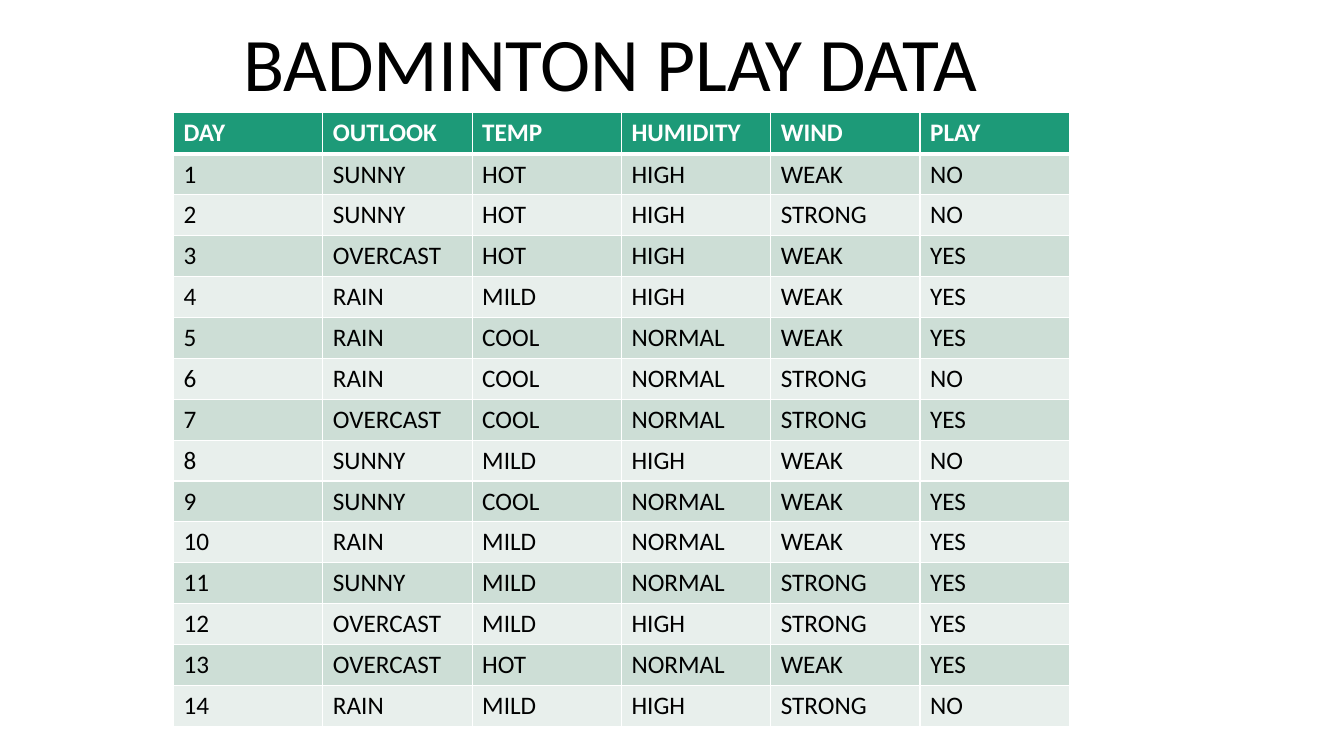
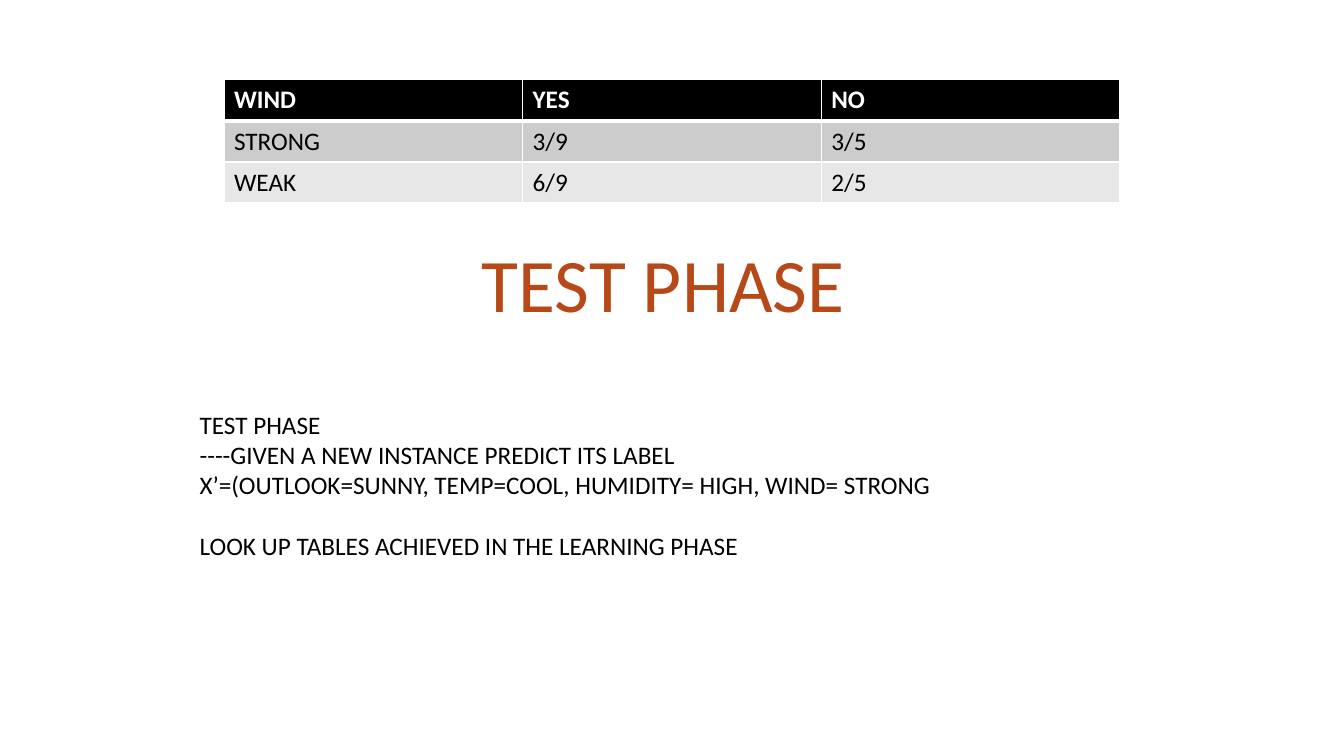
from dataclasses import dataclass

from lxml import etree
from pptx import Presentation
from pptx import util as u
from pptx.dml.color import RGBColor
from pptx.enum import text
from pptx.oxml.ns import qn

PX = 6350  # EMU in one px of a 1920 x 1080 slide


@dataclass(frozen=True)
class Theme:
    font: str = "Calibri"
    title_size: int = 54
    body_size: int = 18
    black: str = "000000"
    white: str = "FFFFFF"
    rust: str = "B74919"
    # header, odd row, even row
    green_table: tuple = ("1D9A78", "CDDED6", "E8EFEC")
    gray_table: tuple = ("000000", "CCCCCC", "E7E7E7")
    thin: int = 1
    thick: int = 3
    header_height: int = 59
    row_height: int = 58


THEME = Theme()


def write(frame, *lines, size=THEME.body_size, color=THEME.black, bold=False,
          align=text.PP_ALIGN.LEFT, wrap=True):
    frame.word_wrap = wrap
    for index, line in enumerate(lines):
        para = frame.paragraphs[0] if index == 0 else frame.add_paragraph()
        para.alignment = align
        span = para.add_run()
        span.text = line
        span.font.name = THEME.font
        span.font.size = u.Pt(size)
        span.font.bold = bold
        span.font.color.rgb = RGBColor.from_string(color)


def add_grid(page, rows, left, top, width, fills):
    """Add a banded table with white rules, heavier below the header."""
    height = THEME.header_height + THEME.row_height * (len(rows) - 1)
    table = page.shapes.add_table(len(rows), len(rows[0]), left * PX, top * PX,
                                  width * PX, height * PX).table
    for row_no, values in enumerate(rows):
        header = row_no == 0
        table.rows[row_no].height = PX * (
            THEME.header_height if header else THEME.row_height)
        fill = fills[0] if header else fills[2 - row_no % 2]
        for column_no, value in enumerate(values):
            cell = table.cell(row_no, column_no)
            properties = cell._tc.get_or_add_tcPr()
            for side in ("lnL", "lnR", "lnT", "lnB"):
                heavy = (row_no, side) in ((0, "lnB"), (1, "lnT"))
                weight = THEME.thick if heavy else THEME.thin
                line = etree.SubElement(properties, qn(f"a:{side}"), w=str(u.Pt(weight)))
                paint = etree.SubElement(line, qn("a:solidFill"))
                etree.SubElement(paint, qn("a:srgbClr"), val=THEME.white)
            cell.fill.solid()
            cell.fill.fore_color.rgb = RGBColor.from_string(fill)
            write(cell.text_frame, value, bold=header,
                  color=THEME.white if header else THEME.black)


play_rows = [line.split() for line in """
DAY OUTLOOK TEMP HUMIDITY WIND PLAY
1 SUNNY HOT HIGH WEAK NO
2 SUNNY HOT HIGH STRONG NO
3 OVERCAST HOT HIGH WEAK YES
4 RAIN MILD HIGH WEAK YES
5 RAIN COOL NORMAL WEAK YES
6 RAIN COOL NORMAL STRONG NO
7 OVERCAST COOL NORMAL STRONG YES
8 SUNNY MILD HIGH WEAK NO
9 SUNNY COOL NORMAL WEAK YES
10 RAIN MILD NORMAL WEAK YES
11 SUNNY MILD NORMAL STRONG YES
12 OVERCAST MILD HIGH STRONG YES
13 OVERCAST HOT NORMAL WEAK YES
14 RAIN MILD HIGH STRONG NO
""".strip().splitlines()]

wind_rows = [
    ("WIND", "YES", "NO"),
    ("STRONG", "3/9", "3/5"),
    ("WEAK", "6/9", "2/5"),
]

deck = Presentation()
deck.slide_width, deck.slide_height = 1920 * PX, 1080 * PX
title_only = deck.slide_layouts[5]

# title, its left, top and width, its colour; table rows, left, top and fills
slides = [
    ("BADMINTON PLAY DATA", 327, 16, 1090, THEME.black,
     play_rows, 248, 161, THEME.green_table),
    ("TEST PHASE", 671, 331, 553, THEME.rust,
     wind_rows, 320, 114, THEME.gray_table),
]
for title, left, top, width, color, rows, table_left, table_top, fills in slides:
    page = deck.slides.add_slide(title_only)
    heading = page.shapes.title
    heading.left, heading.top = left * PX, top * PX
    heading.width, heading.height = width * PX, 145 * PX
    heading.text_frame.auto_size = text.MSO_AUTO_SIZE.NONE
    heading.text_frame.vertical_anchor = text.MSO_ANCHOR.TOP
    write(heading.text_frame, title, size=THEME.title_size, color=color,
          align=text.PP_ALIGN.CENTER, wrap=False)
    add_grid(page, rows, table_left, table_top, 1280, fills)

# The last slide also explains the test phase
steps = page.shapes.add_textbox(271 * PX, 577 * PX, 1084 * PX, 276 * PX)
write(steps.text_frame,
      "TEST PHASE",
      "----GIVEN A NEW INSTANCE PREDICT ITS LABEL",
      "X’=(OUTLOOK=SUNNY, TEMP=COOL, HUMIDITY= HIGH, WIND= STRONG",
      "LOOK UP TABLES ACHIEVED IN THE LEARNING PHASE")
steps.text_frame.paragraphs[-1].space_before = u.Pt(22)

deck.save("out.pptx")
